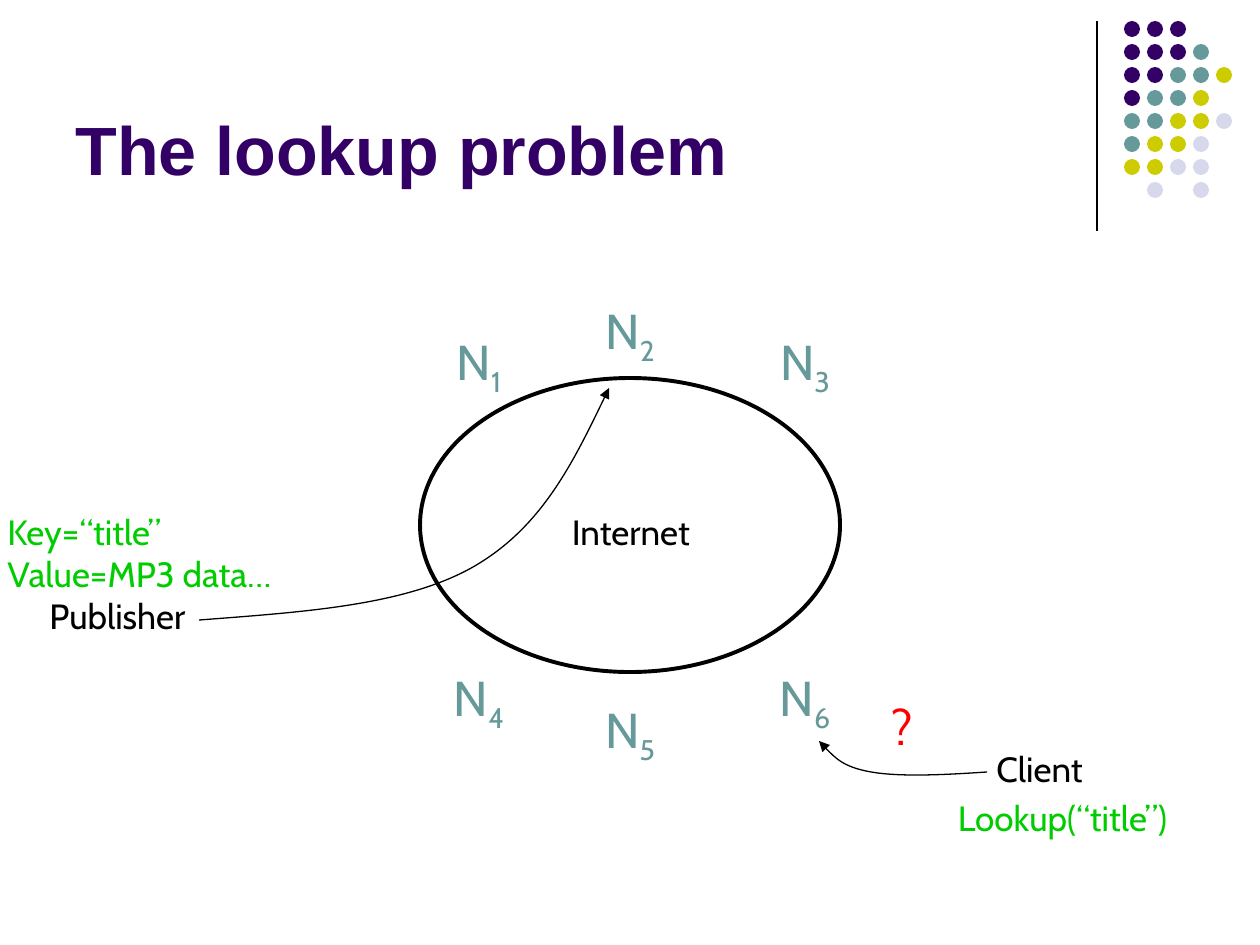
"""Build the slide on the lookup problem."""
from lxml.etree import SubElement
from pptx import Presentation
from pptx.dml.color import RGBColor
from pptx.enum.shapes import MSO_CONNECTOR, MSO_SHAPE
from pptx.enum.text import MSO_ANCHOR, MSO_AUTO_SIZE, PP_ALIGN
from pptx.oxml.ns import qn
from pptx.util import Emu, Pt

PX = 914400 / 126
BLACK = RGBColor(0x00, 0x00, 0x00)
PURPLE = RGBColor(0x33, 0x00, 0x66)
TEAL = RGBColor(0x66, 0x99, 0x99)
OLIVE = RGBColor(0xCC, 0xCC, 0x00)
LILAC = RGBColor(0xD8, 0xD8, 0xEC)
GREEN = RGBColor(0x00, 0xCC, 0x00)
RED = RGBColor(0xFF, 0x00, 0x00)

DOT_COLORS = {"P": PURPLE, "T": TEAL, "O": OLIVE, "L": LILAC}
DOT_ROWS = ["PPP", "PPPT", "PPTTO", "PTTO", "TTOOL", "TOOL", "OOLL", " L L"]
DOT_LEFT, DOT_TOP, DOT_SIZE, DOT_PITCH = 1124, 21, 16, 23

NODES = [("1", 440, 325), ("2", 591, 294), ("3", 766, 325),
         ("6", 766, 661), ("5", 591, 693), ("4", 440, 661)]
LABELS = [
    ("Internet", (551, 504, 160, 55), 20, BLACK, PP_ALIGN.CENTER),
    ("Publisher", (37, 588, 180, 55), 20, BLACK, PP_ALIGN.LEFT),
    ("Key=“title”\nValue=MP3 data…", (-5, 504, 320, 97), 20, GREEN, PP_ALIGN.LEFT),
    ("Client", (984, 741, 120, 55), 20, BLACK, PP_ALIGN.LEFT),
    ("Lookup(“title”)", (934, 790, 257, 55), 20, GREEN, PP_ALIGN.CENTER),
    ("?", (879, 690, 47, 72), 28, RED, PP_ALIGN.CENTER),
]
CLIENT_CURVE = [(987, 772), (943, 775), (900, 777), (871, 772),
                (843, 767), (830, 753), (819, 741)]
PUBLISHER_CURVE = [(199, 620), (302, 612), (404, 606), (473, 567),
                   (541, 528), (575, 459), (609, 388)]


def px(*values):
    """Turn pixel lengths into EMU."""
    return [Emu(round(v * PX)) for v in values]


def format_run(r, size, color, font="Cabin", bold=False):
    """Set the font of one run."""
    r.font.name, r.font.size, r.font.bold = font, Pt(size), bold
    r.font.color.rgb = color


def add_title(s, text):
    """Place and format the title placeholder."""
    sp = s.shapes.title
    sp.left, sp.top, sp.width, sp.height = px(63, 16, 1040, 179)
    tf = sp.text_frame
    tf.text = text
    tf.auto_size = MSO_AUTO_SIZE.NONE
    tf.vertical_anchor = MSO_ANCHOR.BOTTOM
    p = tf.paragraphs[0]
    p.alignment = PP_ALIGN.LEFT
    format_run(p.runs[0], 39, PURPLE, "Arial", True)


def add_label(s, text, box, size, color, align):
    """Add a text box that does not wrap."""
    tf = s.shapes.add_textbox(*px(*box)).text_frame
    tf.text = text
    tf.word_wrap = False
    for p in tf.paragraphs:
        p.alignment = align
        format_run(p.runs[0], size, color)
    return tf


def add_node(s, number, left, top):
    """Add a node name with its number as a subscript."""
    tf = add_label(s, "N", (left, top, 78, 79), 28, TEAL, PP_ALIGN.CENTER)
    r = tf.paragraphs[0].add_run()
    r.text = number
    format_run(r, 28, TEAL)
    r.font._element.set("baseline", "-25000")


def add_ellipse(shapes, box, fill=None):
    """Add a filled dot, or a black ring when no fill is given."""
    sp = shapes.add_shape(MSO_SHAPE.OVAL, *px(*box))
    sp.shadow.inherit = False
    if fill is None:
        sp.fill.background()
        sp.line.color.rgb = BLACK
        sp.line.width = Pt(2.25)
    else:
        sp.fill.solid()
        sp.fill.fore_color.rgb = fill
        sp.line.fill.background()


def add_dots(s):
    """Add the grid of decorative dots."""
    group = s.shapes.add_group_shape()
    for row, codes in enumerate(DOT_ROWS):
        for col, code in enumerate(codes):
            if code in DOT_COLORS:
                box = (DOT_LEFT + col * DOT_PITCH, DOT_TOP + row * DOT_PITCH,
                       DOT_SIZE, DOT_SIZE)
                add_ellipse(group.shapes, box, DOT_COLORS[code])


def add_rule(s):
    """Add the vertical line beside the dots."""
    line = s.shapes.add_connector(MSO_CONNECTOR.STRAIGHT, *px(1097, 21, 1097, 231))
    line.line.color.rgb = BLACK
    line.line.width = Pt(0.75)
    SubElement(line._element.spPr, qn("a:effectLst"))


def add_curved_arrow(s, points):
    """Add an arrow through Bezier points, three for each segment."""
    builder = s.shapes.build_freeform(*points[0], scale=PX)
    builder.add_line_segments(points[1:], close=False)
    sp = builder.convert_to_shape()
    steps = list(sp._element.iter(qn("a:lnTo")))
    for i in range(0, len(steps), 3):
        curve = SubElement(steps[i].getparent(), qn("a:cubicBezTo"))
        for step in steps[i:i + 3]:
            curve.append(step[0])
            step.getparent().remove(step)
    sp.shadow.inherit = False
    sp.fill.background()
    sp.line.color.rgb = BLACK
    sp.line.width = Pt(0.75)
    SubElement(sp.line._get_or_add_ln(), qn("a:tailEnd"), type="triangle")


def main():
    """Build and save the presentation."""
    prs = Presentation()
    prs.slide_width, prs.slide_height = px(1260, 945)
    s = prs.slides.add_slide(prs.slide_layouts[5])
    add_rule(s)
    add_dots(s)
    add_title(s, "The lookup problem")
    add_ellipse(s.shapes, (420, 378, 420, 294))
    for node in NODES:
        add_node(s, *node)
    for label in LABELS:
        add_label(s, *label)
    for curve in (CLIENT_CURVE, PUBLISHER_CURVE):
        add_curved_arrow(s, curve)
    prs.save("out.pptx")


if __name__ == "__main__":
    main()
